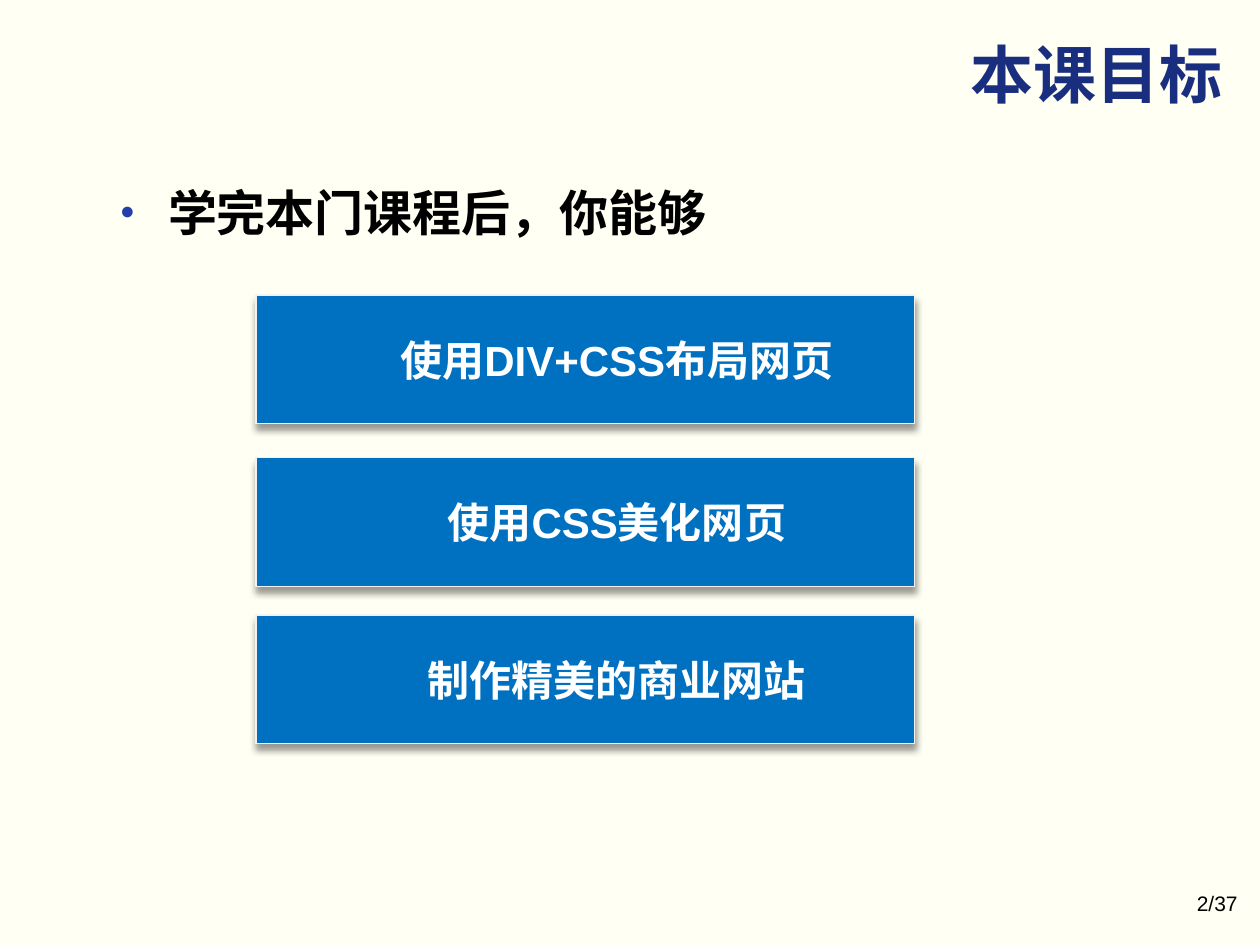
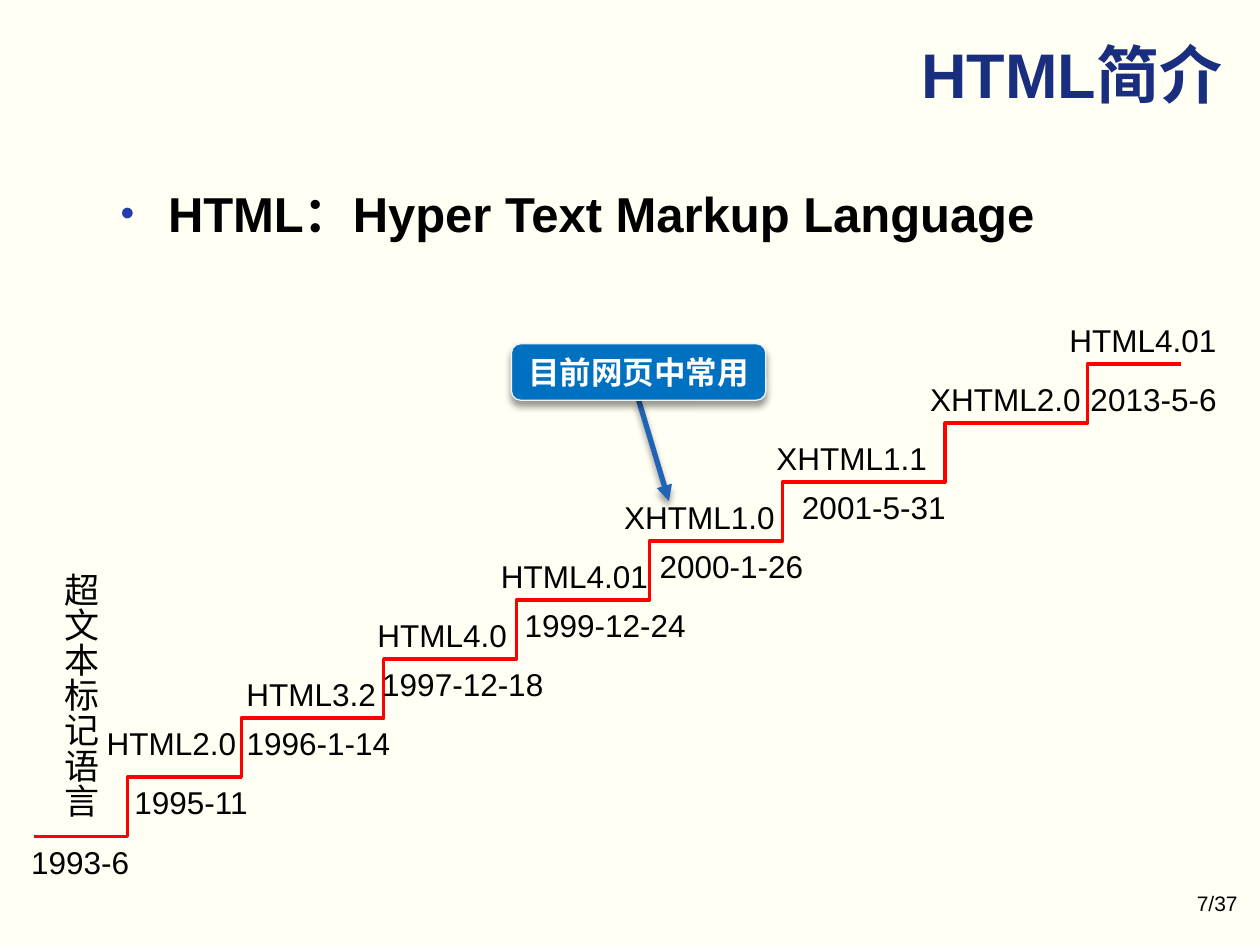
from collections import namedtuple

from pptx import Presentation
from pptx.dml.color import RGBColor
from pptx.enum.lang import MSO_LANGUAGE_ID
from pptx.enum.shapes import MSO_CONNECTOR, MSO_SHAPE
from pptx.enum.text import MSO_ANCHOR, MSO_AUTO_SIZE, PP_ALIGN
from pptx.oxml.ns import qn
from pptx.util import Cm, Pt
from lxml.etree import SubElement

CREAM = RGBColor(0xFF, 0xFF, 0xF3)
NAVY = RGBColor(0x1A, 0x2E, 0x7F)
BULLET_BLUE = RGBColor(0x23, 0x3D, 0xA9)
PANEL_BLUE = RGBColor(0x00, 0x70, 0xC0)
ARROW_BLUE = RGBColor(0x21, 0x63, 0xB4)
PALE_GREY = RGBColor(0xF2, 0xF2, 0xF2)
RED = RGBColor(0xFF, 0x00, 0x00)
BLACK = RGBColor(0x00, 0x00, 0x00)
WHITE = RGBColor(0xFF, 0xFF, 0xFF)

FONT = "Arial"
PAGE_TOTAL = 37

# All box measures are centimetres
Box = namedtuple("Box", "left top width height")
Label = namedtuple("Label", "text left width offset")

TITLE_BOX = Box(2.03, 0.23, 22.86, 2.49)
NUMBER_BOX = Box(19.28, 17.83, 5.92, 1.02)

GOALS = ["使用DIV+CSS布局网页", "使用CSS美化网页", "制作精美的商业网站"]
GOAL_TOPS = [0, 3.28, 6.45]

# Stairs: left end of each step, and labels keyed by tread number
STEP_LEFTS = [0, 2.29, 5.16, 7.84, 10.52, 13.2, 16.48, 19.35]
STEP_WIDTH = 3.77
STEP_RISE = 1.19
LABEL_HEIGHT = 1.02
VERSION_OFFSET = -1.0
VERSIONS = {
    1: Label("HTML2.0", 1.19, 3.15, -1.19),
    2: Label("HTML3.2", 4.01, 3.15, VERSION_OFFSET),
    3: Label("HTML4.0", 6.65, 3.15, VERSION_OFFSET),
    4: Label("HTML4.01", 9.14, 3.5, VERSION_OFFSET),
    5: Label("XHTML1.0", 11.61, 3.6, VERSION_OFFSET),
    6: Label("XHTML1.1", 14.68, 3.6, VERSION_OFFSET),
    7: Label("XHTML2.0", 17.78, 3.6, VERSION_OFFSET),
    8: Label("HTML4.01", 20.6, 3.5, VERSION_OFFSET),
}
DATES = {
    0: Label("1993-6", -0.33, 2.51, 0),
    1: Label("1995-11", 1.75, 2.82, 0),
    2: Label("1996-1-14", 3.99, 3.48, 0),
    3: Label("1997-12-18", 6.75, 3.78, 0),
    4: Label("1999-12-24", 9.62, 3.78, 0),
    5: Label("2000-1-26", 12.34, 3.43, 0),
    6: Label("2001-5-31", 15.21, 3.43, 0),
    8: Label("2013-5-6", 21.03, 3.07, 0.2),
}


# Shared helpers
def place(shape, box):
    shape.left, shape.top, shape.width, shape.height = (Cm(n) for n in box)


def write(shape, text, size, color, align=None, bold=False):
    para = shape.text_frame.paragraphs[0]
    if align is not None:
        para.alignment = align
    span = para.add_run()
    span.text = text
    font = span.font
    font.name, font.size, font.bold = FONT, Pt(size), bold
    font.color.rgb = color
    font.language_id = MSO_LANGUAGE_ID.SIMPLIFIED_CHINESE
    return para


def add_label(page, text, box, size=18, align=PP_ALIGN.CENTER, wrap=False):
    label = page.shapes.add_textbox(*(Cm(n) for n in box))
    label.text_frame.word_wrap = wrap
    if not wrap:
        label.text_frame.auto_size = MSO_AUTO_SIZE.SHAPE_TO_FIT_TEXT
    write(label, text, size, BLACK, align)
    return label


def set_effects(shape, shadow):
    effects = SubElement(shape.element.spPr, qn("a:effectLst"))
    if shadow:
        outer = SubElement(effects, qn("a:outerShdw"), blurRad=str(Pt(4)), dist=str(Pt(3)),
                           dir="5400000", rotWithShape="0")
        tint = SubElement(outer, qn("a:srgbClr"), val=str(BLACK))
        SubElement(tint, qn("a:alpha"), val="40000")


def add_panel(page, kind, box, text, size, margin):
    panel = page.shapes.add_shape(kind, *(Cm(n) for n in box))
    panel.fill.solid()
    panel.fill.fore_color.rgb = PANEL_BLUE
    panel.line.color.rgb = PALE_GREY
    panel.line.width = Pt(0.75)
    set_effects(panel, shadow=True)
    para = write(panel, text, size, WHITE, PP_ALIGN.CENTER, bold=True)
    para.space_before = Pt(size * 0.2)
    properties = para._p.get_or_add_pPr()
    properties.set("marL", str(Cm(margin)))
    properties.set("indent", str(Cm(-0.79)))
    return panel


def add_line(page, kind, start, end, color, width, shadow=False):
    line = page.shapes.add_connector(kind, *(Cm(n) for n in start + end))
    line.line.color.rgb = color
    line.line.width = Pt(width)
    set_effects(line, shadow)
    return line


def add_page(deck, title, lead, lead_box, number):
    page = deck.slides.add_slide(deck.slide_layouts[1])
    heading, body = page.placeholders
    place(heading, TITLE_BOX)
    heading.text_frame.vertical_anchor = MSO_ANCHOR.MIDDLE
    write(heading, title, 36, NAVY, PP_ALIGN.RIGHT, bold=True)
    # Lead sentence with a small coloured bullet
    place(body, lead_box)
    para = write(body, lead, 28, BLACK, bold=True)
    properties = para._p.get_or_add_pPr()
    bullet_color = SubElement(properties, qn("a:buClr"))
    SubElement(bullet_color, qn("a:srgbClr"), val=str(BULLET_BLUE))
    SubElement(properties, qn("a:buSzPct"), val="80000")
    for frame in (heading.text_frame, body.text_frame):
        frame.auto_size = MSO_AUTO_SIZE.NONE
    add_label(page, f"{number}/{PAGE_TOTAL}", NUMBER_BOX, 12, PP_ALIGN.RIGHT, wrap=True)
    return page


# Regions
def add_goals(page, box):
    for goal, top in zip(GOALS, GOAL_TOPS):
        bar = Box(box.left, box.top + top, box.width, box.height - GOAL_TOPS[-1])
        panel = add_panel(page, MSO_SHAPE.RECTANGLE, bar, goal, 24, 2.06)
        panel.text_frame.vertical_anchor = MSO_ANCHOR.MIDDLE


def add_stairs(page, box):
    bottom = box.top + box.height
    for step, left in enumerate(STEP_LEFTS):
        start_x, start_y = box.left + left, bottom - step * STEP_RISE
        add_line(page, MSO_CONNECTOR.ELBOW, (start_x, start_y),
                 (start_x + STEP_WIDTH, start_y - STEP_RISE), RED, 2)
    for labels in (VERSIONS, DATES):
        for tread, label in labels.items():
            top = bottom - tread * STEP_RISE + label.offset
            add_label(page, label.text,
                      Box(box.left + label.left, top, label.width, LABEL_HEIGHT))


def add_vertical_caption(page, box):
    caption = add_label(page, "超文本标记语言", box, 20)
    caption.element.txBody.bodyPr.set("vert", "eaVert")


def add_callout(page, box):
    bottom = box.top + box.height
    middle = box.left + box.width / 2
    arrow = add_line(page, MSO_CONNECTOR.STRAIGHT, (middle, bottom),
                     (middle + 0.61, bottom + 2.03), ARROW_BLUE, 3, shadow=True)
    SubElement(arrow.line._get_or_add_ln(), qn("a:tailEnd"), type="triangle")
    panel = add_panel(page, MSO_SHAPE.ROUNDED_RECTANGLE, box, "目前网页中常用", 18, 0.79)
    frame = panel.text_frame
    frame.word_wrap = False
    frame.auto_size = MSO_AUTO_SIZE.SHAPE_TO_FIT_TEXT
    frame.vertical_anchor = MSO_ANCHOR.BOTTOM


def main():
    deck = Presentation()
    deck.slide_width, deck.slide_height = Cm(25.4), Cm(19.05)
    background = deck.slide_master.background.fill
    background.solid()
    background.fore_color.rgb = CREAM

    # Course goals
    page = add_page(deck, "本课目标", "学完本门课程后，你能够", Box(2.18, 3.56, 21.23, 2.21), 2)
    add_goals(page, Box(5.16, 5.95, 13.28, 9.04))

    # History of HTML
    page = add_page(deck, "HTML简介", "HTML：Hyper Text Markup Language",
                    Box(2.18, 3.58, 21.23, 3.96), 7)
    add_stairs(page, Box(0.69, 7.34, 23.12, 9.52))
    add_vertical_caption(page, Box(0.81, 11.3, 1.37, 5.23))
    add_callout(page, Box(10.31, 6.93, 5.13, 1.14))

    deck.save("out.pptx")


if __name__ == "__main__":
    main()
